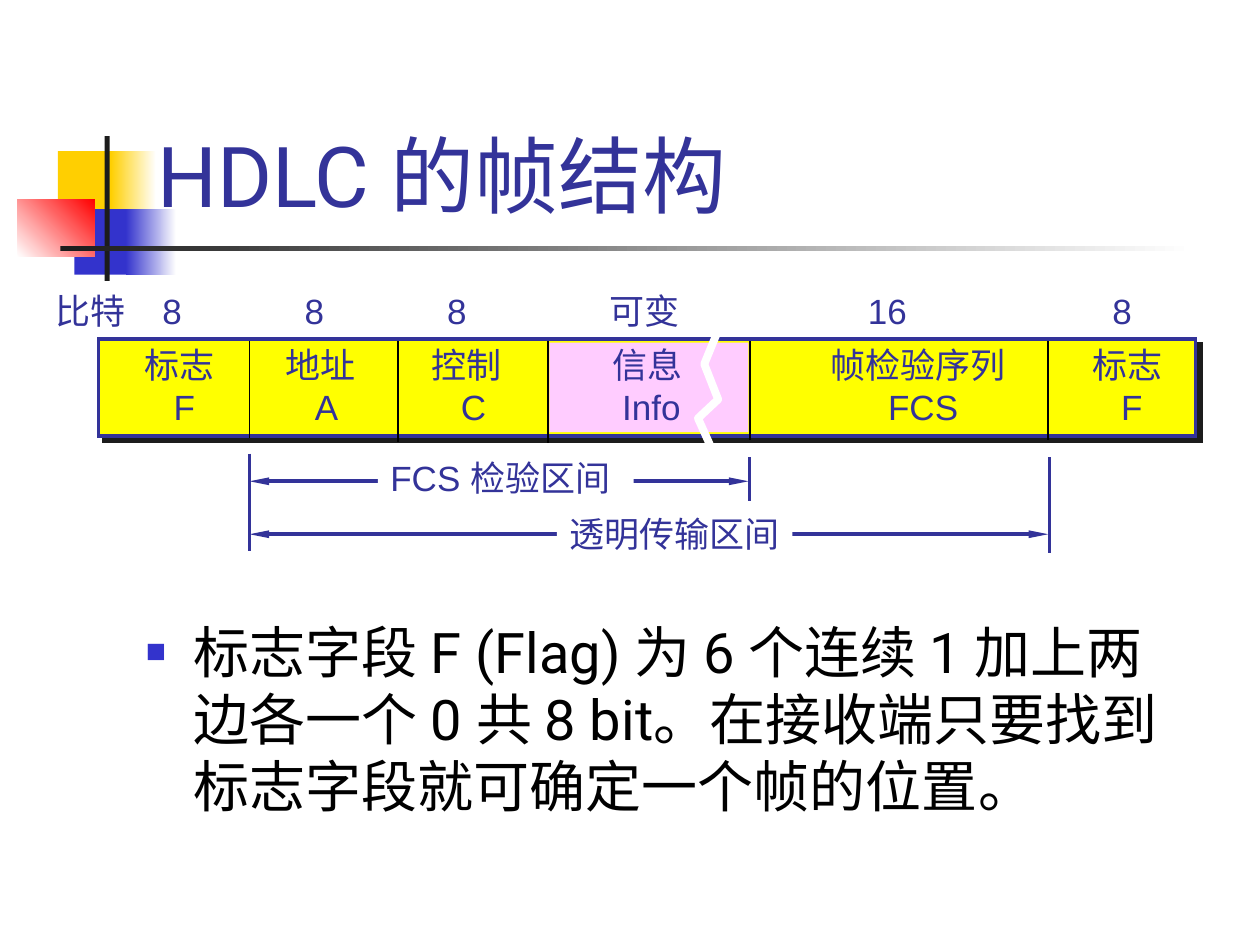
from dataclasses import dataclass

from lxml.etree import SubElement
from pptx import Presentation
from pptx.dml.color import RGBColor
from pptx.enum.shapes import MSO_CONNECTOR, MSO_SHAPE
from pptx.enum.text import MSO_ANCHOR, MSO_AUTO_SIZE
from pptx.oxml.ns import qn
from pptx.util import Inches, Pt


@dataclass(frozen=True)
class Theme:
    navy: str = "333399"
    blue: str = "3333CC"
    gold: str = "FFCF01"
    red: str = "FF0000"
    ink: str = "1C1C1C"
    black: str = "000000"
    white: str = "FFFFFF"
    yellow: str = "FFFF00"
    pink: str = "FFCCFF"
    heading_font: str = "Roboto"
    label_font: str = "Arial"
    title_size: int = 48
    body_size: int = 32
    label_size: int = 20


theme = Theme()

TITLE = "HDLC 的帧结构"
BODY = "标志字段 F (Flag) 为 6 个连续 1 加上两边各一个 0 共 8 bit。在接收端只要找到标志字段就可确定一个帧的位置。"

ORNAMENTS = [
    ((0.46, 1.2, 0.48, 0.52), (theme.gold,), 0),
    ((0.88, 1.2, 0.36, 0.52), (theme.gold, theme.white), 0),
    ((0.59, 1.66, 0.46, 0.52), (theme.blue,), 0),
    ((1, 1.66, 0.4, 0.52), (theme.blue, theme.white), 0),
    ((0.14, 1.58, 0.61, 0.46), (theme.white, theme.red), 45),
    ((0.83, 1.08, 0.04, 1.15), (theme.ink,), 0),
    ((0.48, 1.95, 9, 0.04), (theme.ink, theme.white), 0),
]

BIT_COUNTS = [
    ("比特", 0.34, 0.76), ("8", 1.19, 0.35), ("8", 2.32, 0.35), ("8", 3.45, 0.35),
    ("可变", 4.74, 0.76), ("16", 6.79, 0.51), ("8", 8.73, 0.35),
]
FIELDS = [
    ("标志", "F", 1.05, 0.76, 0.23), ("地址", "A", 2.17, 0.82, 0.23),
    ("控制", "C", 3.33, 0.76, 0.23), ("信息", "Info", 4.76, 0.76, 0.08),
    ("帧检验序列", "FCS", 6.49, 1.59, 0.46), ("标志", "F", 8.57, 0.76, 0.23),
]
DIVIDERS = [(1.98, 3.48), (3.16, 3.51), (4.35, 3.52), (5.95, 3.49), (8.32, 3.49)]
RANGE_MARKS = [(1.98, 3.6, 4.37), (5.95, 3.63, 3.98), (8.33, 3.63, 4.39)]
RANGES = [
    ("FCS 检验区间", 1.98, 5.94, 3.82, (3, 3.57, 2.03, 0.43)),
    ("透明传输区间", 1.98, 8.32, 4.24, (4.42, 4.02, 1.87, 0.43)),
]
BREAK_POINTS = [(5.7, 2.62), (5.59, 2.89), (5.7, 3.17), (5.54, 3.32), (5.68, 3.63)]

deck = Presentation()
deck.slide_width, deck.slide_height = Inches(10), Inches(7.5)
page = deck.slides.add_slide(deck.slide_layouts[6])


def color(value):
    return RGBColor.from_string(value)


def add_block(place, fills, angle=0):
    block = page.shapes.add_shape(MSO_SHAPE.RECTANGLE, *map(Inches, place))
    block.shadow.inherit = False
    block.line.fill.background()
    if len(fills) == 1:
        block.fill.solid()
        block.fill.fore_color.rgb = color(fills[0])
    else:
        block.fill.gradient()
        block.fill.gradient_angle = angle
        for stop, value in zip(block.fill.gradient_stops, fills):
            stop.color.rgb = color(value)
    return block


def add_line(start, end, value, width, arrows=False):
    line = page.shapes.add_connector(MSO_CONNECTOR.STRAIGHT, *map(Inches, start + end))
    line.line.color.rgb = color(value)
    line.line.width = Pt(width)
    if arrows:
        outline = line.line._get_or_add_ln()
        for end_name in ("a:headEnd", "a:tailEnd"):
            SubElement(outline, qn(end_name), type="triangle", w="sm", len="lg")
    SubElement(line._element.spPr, qn("a:effectLst"))


def add_text(place, lines, size=theme.label_size, font=theme.label_font,
             value=theme.navy, wrap=False, indents=(0, 0)):
    box = page.shapes.add_textbox(*map(Inches, place))
    frame = box.text_frame
    frame.word_wrap = wrap
    if not wrap:
        frame.auto_size = MSO_AUTO_SIZE.SHAPE_TO_FIT_TEXT
    for index, text in enumerate(lines):
        para = frame.paragraphs[0] if index == 0 else frame.add_paragraph()
        if indents[index]:
            para._p.get_or_add_pPr().set("marL", str(Inches(indents[index])))
        span = para.add_run()
        span.text = text
        span.font.size = Pt(size)
        span.font.name = font
        span.font.color.rgb = color(value)
    return box


def add_bullet(para, indent):
    properties = para._p.get_or_add_pPr()
    properties.set("marL", str(Inches(indent)))
    properties.set("indent", str(-Inches(indent)))
    SubElement(SubElement(properties, qn("a:buClr")), qn("a:srgbClr"), val=theme.blue)
    SubElement(properties, qn("a:buSzPct"), val="60000")
    SubElement(properties, qn("a:buFont"), typeface=theme.label_font)
    SubElement(properties, qn("a:buChar"), char="■")


def add_drop_shadow(block):
    effects = block._element.spPr.find(qn("a:effectLst"))
    shadow = SubElement(effects, qn("a:outerShdw"), blurRad="0", dist=str(Pt(4.2)),
                        dir="2700000", algn="tl", rotWithShape="0")
    SubElement(shadow, qn("a:srgbClr"), val=theme.ink)


for place, fills, angle in ORNAMENTS:
    add_block(place, fills, angle)

title = add_text((1.15, 0.23, 8.85, 1.6), [TITLE], theme.title_size,
                 theme.heading_font, wrap=True)
title.text_frame.vertical_anchor = MSO_ANCHOR.BOTTOM
body = add_text((1.06, 4.85, 8.5, 2.04), [BODY], theme.body_size,
                theme.heading_font, theme.black, wrap=True)
add_bullet(body.text_frame.paragraphs[0], 0.38)

frame_bar = add_block((0.78, 2.69, 8.71, 0.77), [theme.yellow])
frame_bar.line.color.rgb = color(theme.navy)
frame_bar.line.width = Pt(2)
SubElement(frame_bar.line._get_or_add_ln(), qn("a:miter"), lim="800000")
add_drop_shadow(frame_bar)
add_block((4.36, 2.72, 1.58, 0.71), [theme.pink])

for text, left, width in BIT_COUNTS:
    add_text((left, 2.25, width, 0.43), [text])
for name, code, left, width, indent in FIELDS:
    add_text((left, 2.68, width, 0.76), [name, code], indents=(0, indent))
for x, bottom in DIVIDERS:
    add_line((x, 2.71), (x, bottom), theme.black, 1)
for x, top, bottom in RANGE_MARKS:
    add_line((x, top), (x, bottom), theme.navy, 1.5)
for text, left, right, y, place in RANGES:
    add_line((left, y), (right, y), theme.navy, 2.25, arrows=True)
    label = add_text(place, [text])
    label.fill.solid()
    label.fill.fore_color.rgb = color(theme.white)

points = [(Inches(x), Inches(y)) for x, y in BREAK_POINTS]
builder = page.shapes.build_freeform(*points[0])
builder.add_line_segments(points[1:], close=False)
break_mark = builder.convert_to_shape()
break_mark.shadow.inherit = False
break_mark.fill.background()
break_mark.line.color.rgb = color(theme.white)
break_mark.line.width = Pt(4.5)

deck.save("out.pptx")
